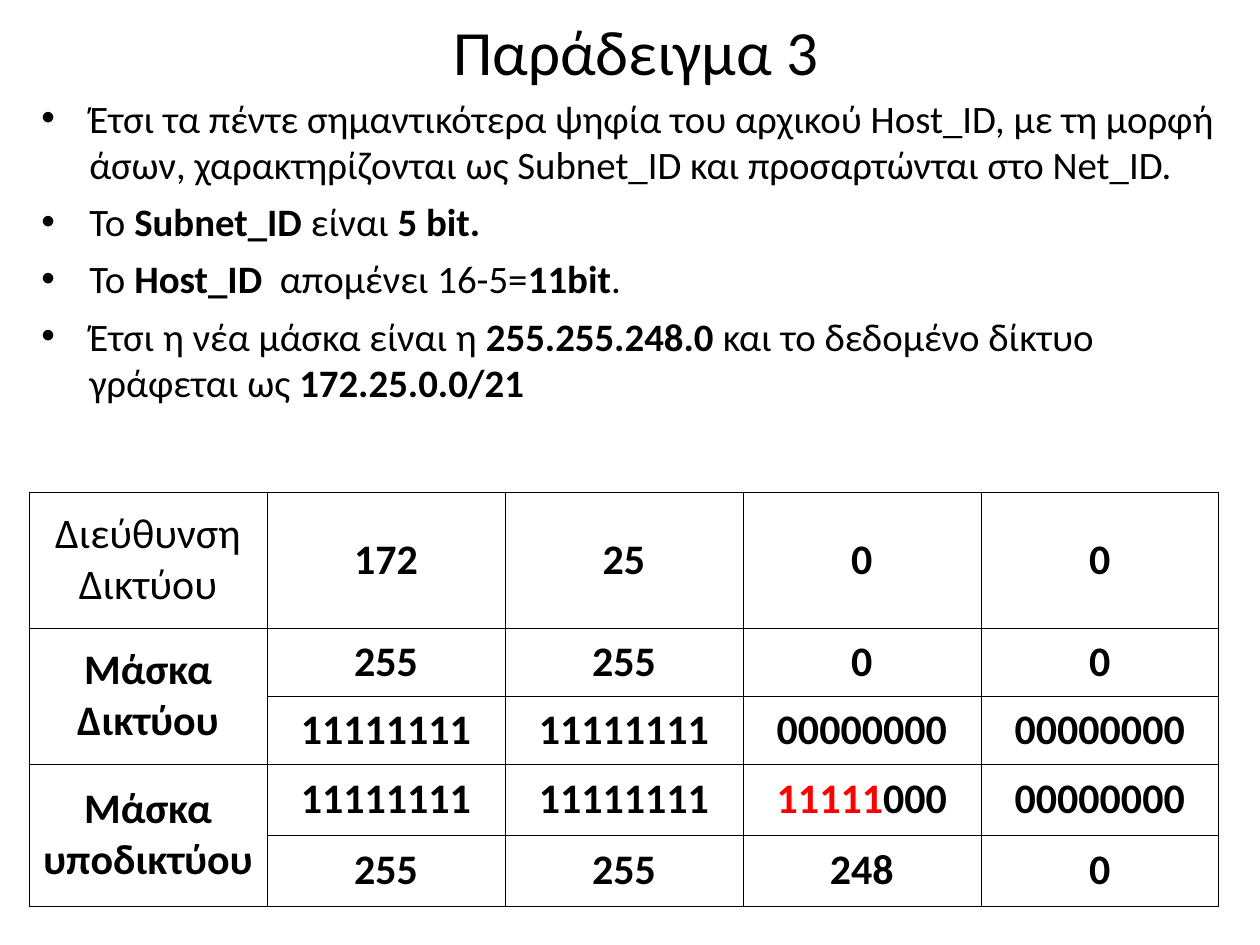
from lxml.etree import SubElement
from pptx import Presentation
from pptx.dml.color import RGBColor
from pptx.enum.text import MSO_ANCHOR, PP_ALIGN
from pptx.oxml.ns import qn
from pptx.util import Emu, Pt

FONT = "Calibri"
BLACK, RED = "000000", "FF0000"

BULLETS = [
    [("Έτσι τα πέντε σημαντικότερα ψηφία του αρχικού Host_ID, με τη μορφή άσων, "
      "χαρακτηρίζονται ως Subnet_ID και προσαρτώνται στο Net_ID.", False)],
    [("Το ", False), ("Subnet_ID ", True), ("είναι ", False), ("5 bit.", True)],
    [("Το ", False), ("Host_ID", True), ("  απομένει 16-5=", False),
     ("11bit", True), (".", False)],
    [("Έτσι η νέα μάσκα είναι η ", False), ("255.255.248.0 ", True),
     ("και το δεδομένο δίκτυο γράφεται ως ", False), ("172.25.0.0/21", True)],
]

# Each cell is a list of paragraphs, each paragraph a list of (text, bold, colour)
ONES, ZEROS = "11111111", "00000000"
HEADINGS = {
    0: [[("Διεύθυνση Δικτύου", False, BLACK)]],
    1: [[("Μάσκα", True, BLACK)], [("Δικτύου", True, BLACK)]],
    3: [[("Μάσκα υποδικτύου", True, BLACK)]],
}
OCTETS = [
    ["172", "25", "0", "0"],
    ["255", "255", "0", "0"],
    [ONES, ONES, ZEROS, ZEROS],
    [ONES, ONES, "11111000", ZEROS],
    ["255", "255", "248", "0"],
]
SUBNET_CELL, SUBNET_BITS = (3, 3), 5
COLUMN_WIDTH = 238
ROW_HEIGHTS = [136, 68, 68, 71, 71]


def px(length):
    return Emu(round(length * 914400 / 126))


def color(value):
    return RGBColor.from_string(value)


def add_run(paragraph, text, size, bold=False, run_color=BLACK):
    run = paragraph.add_run()
    run.text = text
    run.font.name = FONT
    run.font.size = Pt(size)
    run.font.bold = bold
    run.font.color.rgb = color(run_color)


def add_text_frame(slide, left, top, width, height):
    text_frame = slide.shapes.add_textbox(px(left), px(top), px(width), px(height)).text_frame
    text_frame.word_wrap = True
    return text_frame


def next_paragraph(text_frame, index):
    return text_frame.add_paragraph() if index else text_frame.paragraphs[0]


def add_title(slide):
    text_frame = add_text_frame(slide, 69, 0, 1134, 100)
    text_frame.vertical_anchor = MSO_ANCHOR.MIDDLE
    paragraph = text_frame.paragraphs[0]
    paragraph.alignment = PP_ALIGN.CENTER
    add_run(paragraph, "Παράδειγμα 3", 36)


def set_bullet(paragraph, indent):
    properties = paragraph._p.get_or_add_pPr()
    properties.set("marL", str(indent))
    properties.set("indent", str(-indent))
    SubElement(properties, qn("a:buFont"), typeface="Arial")
    SubElement(properties, qn("a:buChar"), char="•")


def add_bullets(slide):
    text_frame = add_text_frame(slide, 29, 88, 1201, 384)
    for index, runs in enumerate(BULLETS):
        paragraph = next_paragraph(text_frame, index)
        set_bullet(paragraph, px(48))
        if index:
            paragraph.space_before = Pt(6)
        for text, bold in runs:
            add_run(paragraph, text, 22.2, bold)


def set_borders(cell, width):
    properties = cell._tc.get_or_add_tcPr()
    for position, side in enumerate(("a:lnL", "a:lnR", "a:lnT", "a:lnB")):
        line = SubElement(properties, qn(side), w=str(Pt(width)))
        fill = SubElement(line, qn("a:solidFill"))
        SubElement(fill, qn("a:srgbClr"), val=BLACK)
        properties.insert(position, line)


def fill_cell(cell, paragraphs):
    for index, runs in enumerate(paragraphs):
        paragraph = next_paragraph(cell.text_frame, index)
        paragraph.alignment = PP_ALIGN.CENTER
        for text, bold, run_color in runs:
            add_run(paragraph, text, 24, bold, run_color)


def add_mask_table(slide):
    columns = len(OCTETS[0]) + 1
    table = slide.shapes.add_table(
        len(OCTETS), columns, px(29), px(492),
        px(COLUMN_WIDTH * columns), px(sum(ROW_HEIGHTS))).table
    table.first_row = False
    table.horz_banding = False
    for column in table.columns:
        column.width = px(COLUMN_WIDTH)
    for row, height in zip(table.rows, ROW_HEIGHTS):
        row.height = px(height)

    # Plain cells with thin black borders
    for cell in table.iter_cells():
        cell.fill.background()
        cell.vertical_anchor = MSO_ANCHOR.MIDDLE
        cell.margin_left = cell.margin_right = px(10)
        cell.margin_top = cell.margin_bottom = px(6)
        set_borders(cell, 0.45)

    # Each mask heading spans its decimal and binary rows
    for row in (1, 3):
        table.cell(row, 0).merge(table.cell(row + 1, 0))
    for row, paragraphs in HEADINGS.items():
        fill_cell(table.cell(row, 0), paragraphs)

    # Octets, with the borrowed subnet bits in red
    for row, octets in enumerate(OCTETS):
        for column, octet in enumerate(octets, start=1):
            runs = [(octet, True, BLACK)]
            if (row, column) == SUBNET_CELL:
                runs = [(octet[:SUBNET_BITS], True, RED), (octet[SUBNET_BITS:], True, BLACK)]
            fill_cell(table.cell(row, column), [runs])


def main():
    presentation = Presentation()
    presentation.slide_width, presentation.slide_height = px(1260), px(945)
    slide = presentation.slides.add_slide(presentation.slide_layouts[6])
    add_bullets(slide)
    add_title(slide)
    add_mask_table(slide)
    presentation.save("out.pptx")


if __name__ == "__main__":
    main()
